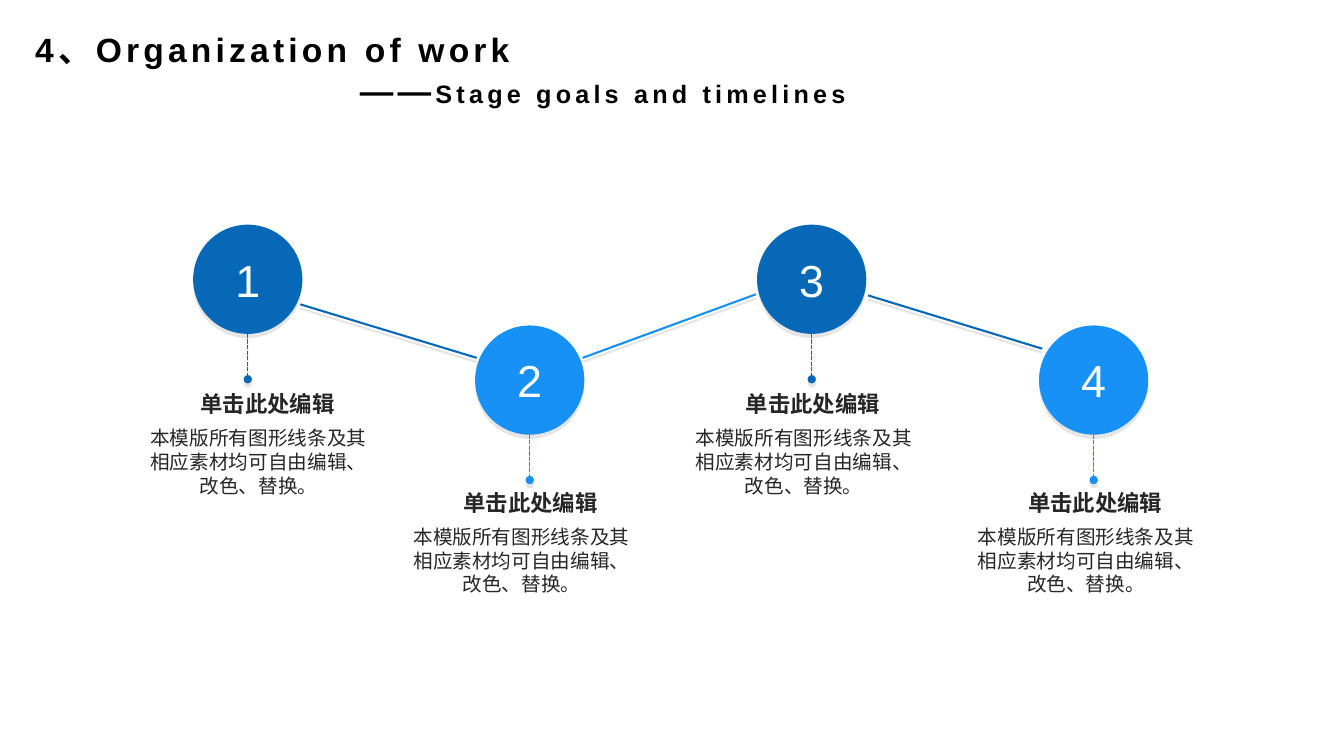
"""Build a four-stage timeline slide with numbered circles and captions."""
import pptx
import pptx.dml.color
import pptx.enum.dml
import pptx.enum.shapes
import pptx.enum.text
import pptx.oxml
import pptx.oxml.ns
import pptx.util
from lxml import etree

Pt = pptx.util.Pt
COLORS = {
    "dark": "0868B8",
    "light": "1791F5",
    "white": "FFFFFF",
    "text": "262626",
    "title": "000000",
}
FONT = "Arial"
DIAMETER = 78
FIRST_CENTER, PITCH = 177, 201.4
STEM_LENGTH = 32.4
CAPTION_WIDTH = 182
LEVELS = {
    "dark": {"circle": 160.5, "heading": 277.2, "body": 301},
    "light": {"circle": 232.5, "heading": 347.8, "body": 371.5},
}
STAGES = [("dark", 93.6), ("light", 281.5), ("dark", 483.1), ("light", 684.7)]
LINKS = [
    ("dark", 214.5, 217.4, 340.5, 255.6),
    ("light", 416.2, 255.6, 540, 210.2),
    ("dark", 620, 211, 744.5, 249.1),
]
HEADING = "单击此处编辑"
BODY = "本模版所有图形线条及其相应素材均可自由编辑、改色、替换。"


def rgb(name):
    """Return the named colour."""
    return pptx.dml.color.RGBColor.from_string(COLORS[name])


def cast_shadow(shape):
    """Give a shape or connector a faint shadow straight below it."""
    shape._element.spPr.append(pptx.oxml.parse_xml(
        f'<a:effectLst {pptx.oxml.ns.nsdecls("a")}>'
        f'<a:outerShdw blurRad="0" dist="{Pt(3)}" dir="5400000" algn="t" rotWithShape="0">'
        '<a:srgbClr val="000000"><a:alpha val="10000"/></a:srgbClr>'
        '</a:outerShdw></a:effectLst>'
    ))


def style_paragraph(paragraph, size, color, bold=False, centered=True):
    """Set the font and alignment of a whole paragraph."""
    paragraph.font.name = FONT
    paragraph.font.size = Pt(size)
    paragraph.font.bold = bold
    paragraph.font.color.rgb = rgb(color)
    align = pptx.enum.text.PP_ALIGN
    paragraph.alignment = align.CENTER if centered else align.LEFT


def indent(paragraph, points):
    """Set the left margin of a paragraph."""
    paragraph._p.get_or_add_pPr().set("marL", str(Pt(points)))


def add_line(slide, color, begin_x, begin_y, end_x, end_y, width=1.5):
    """Add a straight coloured connector."""
    connector = slide.shapes.add_connector(
        pptx.enum.shapes.MSO_CONNECTOR.STRAIGHT,
        Pt(begin_x), Pt(begin_y), Pt(end_x), Pt(end_y))
    connector.line.color.rgb = rgb(color)
    connector.line.width = Pt(width)
    cast_shadow(connector)
    return connector


def add_stem(slide, color, center, top):
    """Add a dashed stem that ends in a dot."""
    stem = add_line(slide, color, center, top, center, top + STEM_LENGTH, 1)
    stem.line.dash_style = pptx.enum.dml.MSO_LINE.SQUARE_DOT
    outline = stem._element.spPr.find(pptx.oxml.ns.qn("a:ln"))
    etree.SubElement(outline, pptx.oxml.ns.qn("a:tailEnd"), type="oval")


def add_circle(slide, number, color, center, top):
    """Add a numbered circle."""
    circle = slide.shapes.add_shape(
        pptx.enum.shapes.MSO_SHAPE.OVAL,
        Pt(center - DIAMETER / 2), Pt(top), Pt(DIAMETER), Pt(DIAMETER))
    circle.fill.solid()
    circle.fill.fore_color.rgb = rgb(color)
    circle.line.fill.background()
    cast_shadow(circle)
    frame = circle.text_frame
    frame.vertical_anchor = pptx.enum.text.MSO_ANCHOR.MIDDLE
    frame.text = str(number)
    style_paragraph(frame.paragraphs[0], 32, "white")


def add_text(slide, text, left, top, width, height):
    """Add a wrapping text box and return its paragraphs."""
    frame = slide.shapes.add_textbox(Pt(left), Pt(top), Pt(width), Pt(height)).text_frame
    frame.word_wrap = True
    frame.auto_size = pptx.enum.text.MSO_AUTO_SIZE.SHAPE_TO_FIT_TEXT
    frame.text = text
    return frame.paragraphs


def add_caption(slide, left, level):
    """Add the heading and body text of a stage."""
    heading = add_text(slide, HEADING, left, level["heading"], CAPTION_WIDTH, 24.5)[0]
    style_paragraph(heading, 16, "text", bold=True)
    heading.line_spacing = 0.9
    heading.space_before = Pt(6)
    indent(heading, 13)
    body = add_text(slide, BODY, left, level["body"], CAPTION_WIDTH, 58.3)[0]
    style_paragraph(body, 14, "text")


def add_title(slide):
    """Add the title and its indented subtitle."""
    title, subtitle = add_text(
        slide, "4、Organization of work\n——", 18, 17.3, 768, 65.5)
    for paragraph in (title, subtitle):
        style_paragraph(paragraph, 24, "title", bold=True, centered=False)
    indent(subtitle, 232)
    run = subtitle.add_run()
    run.text = "Stage goals and timelines"
    run.font.size = Pt(18)
    for run in title.runs + subtitle.runs:
        run._r.get_or_add_rPr().set("spc", "300")


def main():
    """Build and save the slide."""
    presentation = pptx.Presentation()
    presentation.slide_width = Pt(960)
    presentation.slide_height = Pt(540)
    slide = presentation.slides.add_slide(presentation.slide_layouts[6])
    for link in LINKS:
        add_line(slide, *link)
    for index, (color, caption_left) in enumerate(STAGES):
        center = FIRST_CENTER + index * PITCH
        level = LEVELS[color]
        add_circle(slide, index + 1, color, center, level["circle"])
        add_stem(slide, color, center, level["circle"] + DIAMETER)
        add_caption(slide, caption_left, level)
    add_title(slide)
    presentation.save("out.pptx")


if __name__ == "__main__":
    main()
